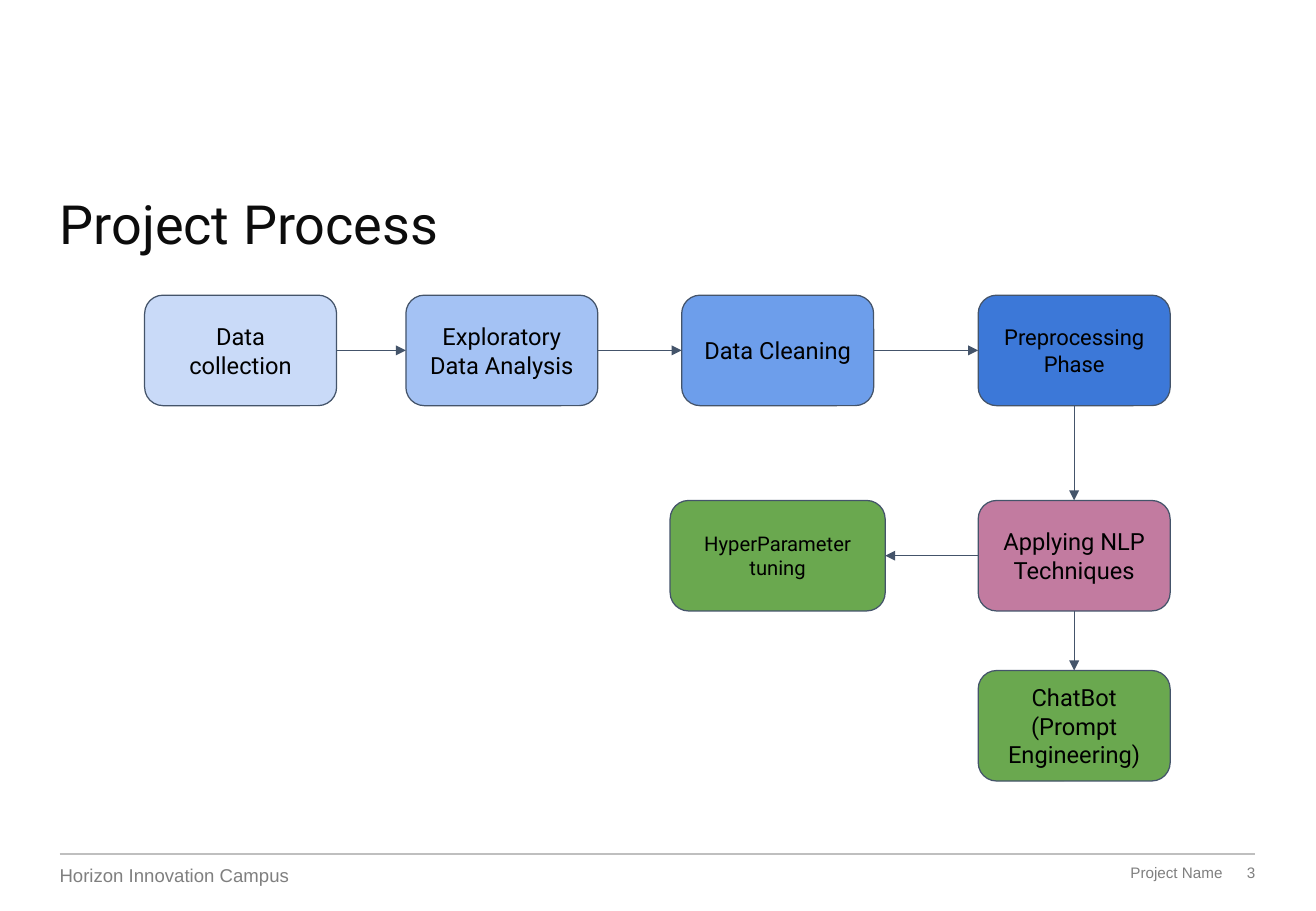
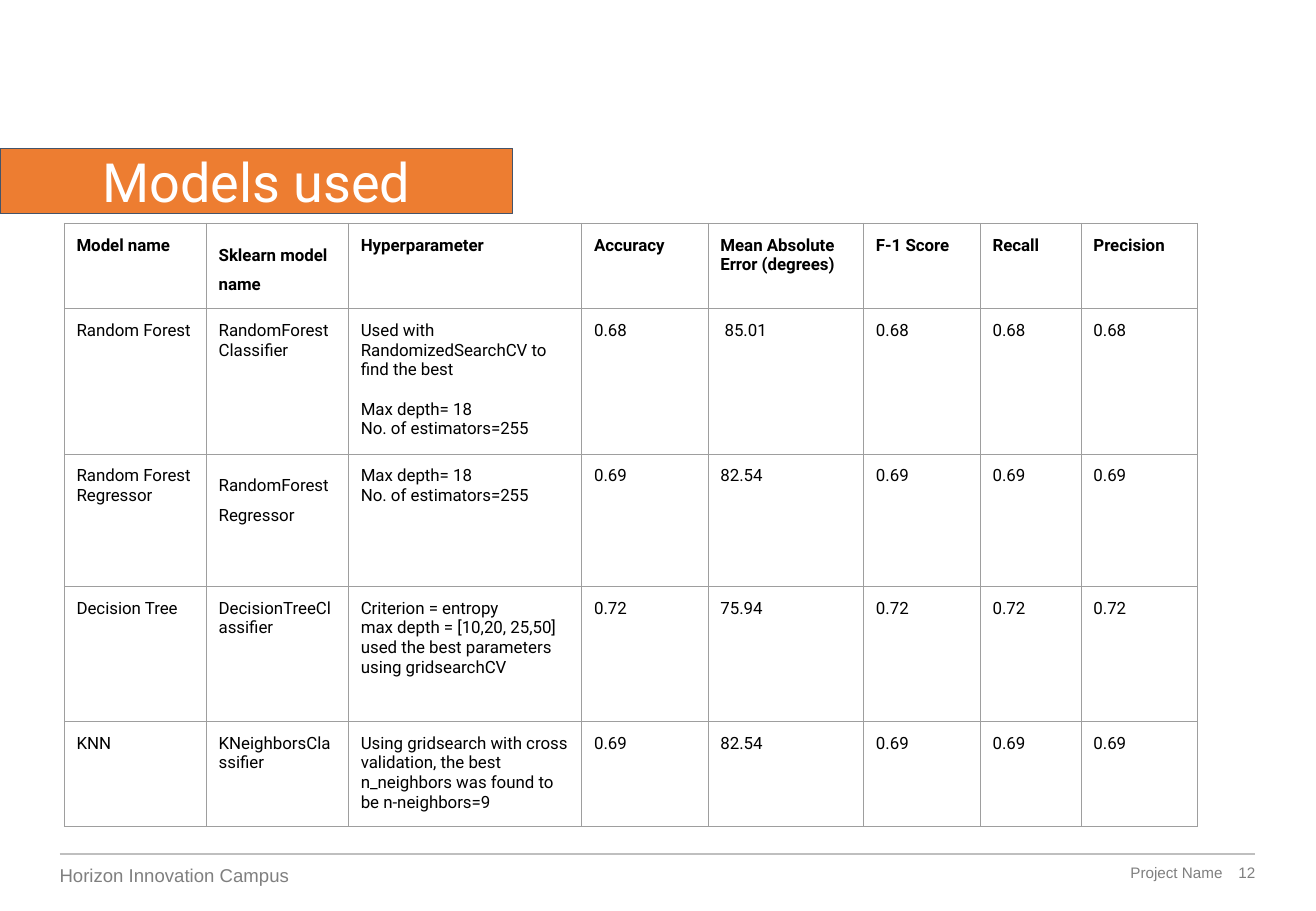
"""Builds two project slides: a process flowchart and a table of model results."""
from lxml import etree
from pptx import Presentation
from pptx.dml.color import RGBColor
from pptx.enum.shapes import MSO_CONNECTOR, MSO_SHAPE
from pptx.enum.text import MSO_ANCHOR, PP_ALIGN
from pptx.oxml.ns import qn
from pptx.util import Inches, Pt

LEFT, CENTER, RIGHT = PP_ALIGN.LEFT, PP_ALIGN.CENTER, PP_ALIGN.RIGHT
TOP, MIDDLE = MSO_ANCHOR.TOP, MSO_ANCHOR.MIDDLE
ROUND, RECT = MSO_SHAPE.ROUNDED_RECTANGLE, MSO_SHAPE.RECTANGLE
STRAIGHT = MSO_CONNECTOR.STRAIGHT
SITE_TOP, SITE_LEFT, SITE_BOTTOM, SITE_RIGHT = range(4)

BLACK = RGBColor(0x00, 0x00, 0x00)
WHITE = RGBColor(0xFF, 0xFF, 0xFF)
TITLE_INK = RGBColor(0x0C, 0x0C, 0x0C)
FOOTER_INK = RGBColor(0x7F, 0x7F, 0x7F)
FOOTER_RULE = RGBColor(0xBF, 0xBF, 0xBF)
SLATE = RGBColor(0x44, 0x54, 0x6A)
ORANGE = RGBColor(0xED, 0x7D, 0x31)
PINK = RGBColor(0xC2, 0x7B, 0xA0)
GREEN = RGBColor(0x6A, 0xA8, 0x4F)
BLUES = [RGBColor(0xC9, 0xDA, 0xF8), RGBColor(0xA4, 0xC2, 0xF4),
         RGBColor(0x6D, 0x9E, 0xEB), RGBColor(0x3C, 0x78, 0xD8)]
GRID_HEX = "9E9E9E"

HEAD_FONT, FOOTER_FONT = "Roboto", "Arial"
SLIDE_W, SLIDE_H = 10.83, 7.5
MARGIN, FOOTER_RIGHT = 0.49, 10.33
FOOTER_Y, FOOTER_TEXT_Y = 7.03, 7.11
FOOTER_NAME, FOOTER_PROJECT = "Horizon Innovation Campus", "Project Name"

COLS = [1.19, 3.34, 5.61, 8.05]
ROWS = [2.43, 4.12, 5.52]
STEP_W, STEP_H, TUNING_W = 1.58, 0.91, 1.77
TUNING_X = COLS[2] + (STEP_W - TUNING_W) / 2

STEPS = {
    "collect": (COLS[0], ROWS[0], STEP_W, BLUES[0], 14, ["Data collection"]),
    "explore": (COLS[1], ROWS[0], STEP_W, BLUES[1], 14, ["Exploratory Data Analysis"]),
    "clean": (COLS[2], ROWS[0], STEP_W, BLUES[2], 14, ["Data Cleaning"]),
    "prepare": (COLS[3], ROWS[0], STEP_W, BLUES[3], 13, ["Preprocessing", "Phase"]),
    "nlp": (COLS[3], ROWS[1], STEP_W, PINK, 14, ["Applying NLP Techniques"]),
    "tuning": (TUNING_X, ROWS[1], TUNING_W, GREEN, 12, ["HyperParameter tuning"]),
    "prompt": (COLS[3], ROWS[2], STEP_W, GREEN, 14, ["ChatBot", "(Prompt Engineering)"]),
}
ARROWS = [
    ("collect", SITE_RIGHT, "explore", SITE_LEFT),
    ("explore", SITE_RIGHT, "clean", SITE_LEFT),
    ("clean", SITE_RIGHT, "prepare", SITE_LEFT),
    ("prepare", SITE_BOTTOM, "nlp", SITE_TOP),
    ("nlp", SITE_LEFT, "tuning", SITE_RIGHT),
    ("nlp", SITE_BOTTOM, "prompt", SITE_TOP),
]

FOREST = ["Max depth= 18", "No. of estimators=255"]
MODELS = [
    ["Model name", "Sklearn model name", "Hyperparameter", "Accuracy",
     "Mean Absolute Error (degrees)", "F-1 Score", "Recall", "Precision"],
    ["Random Forest", "RandomForestClassifier",
     ["Used with RandomizedSearchCV to find the best"] + FOREST,
     "0.68", " 85.01", "0.68", "0.68", "0.68"],
    ["Random Forest Regressor", "RandomForestRegressor", FOREST,
     "0.69", "82.54", "0.69", "0.69", "0.69"],
    ["Decision Tree", "DecisionTreeClassifier",
     ["Criterion = entropy", "max depth = [10,20, 25,50]",
      "used the best parameters using gridsearchCV"],
     "0.72", "75.94", "0.72", "0.72", "0.72"],
    ["KNN", "KNeighborsClassifier",
     "Using gridsearch with cross validation, the best n_neighbors "
     "was found to be n-neighbors=9",
     "0.69", "82.54", "0.69", "0.69", "0.69"],
]
COL_WIDTHS = [1.17, 1.17, 1.92, 1.04, 1.28, 0.96, 0.83, 0.96]
ROW_HEIGHTS = [0.69, 1.17, 1.09, 1.11, 0.84]
OPEN_SPACED = {(0, 1), (2, 1)}
FOREST_SEARCH = (1, 2)


def box(*lengths):
    return [Inches(v) for v in lengths]


def write(tf, lines, size, color, align=LEFT, font=HEAD_FONT, bold=False):
    for i, line in enumerate(lines):
        p = tf.paragraphs[0] if i == 0 else tf.add_paragraph()
        p.alignment = align
        r = p.add_run()
        r.text = line
        r.font.name, r.font.size, r.font.bold = font, Pt(size), bold
        r.font.color.rgb = color


def set_frame(tf, anchor, dx=0, dy=0):
    tf.word_wrap = True
    tf.vertical_anchor = anchor
    tf.margin_left = tf.margin_right = Inches(dx)
    tf.margin_top = tf.margin_bottom = Inches(dy)


def add_text(s, at, text, size, color, align=LEFT, anchor=TOP, font=HEAD_FONT):
    tf = s.shapes.add_textbox(*box(*at)).text_frame
    set_frame(tf, anchor)
    write(tf, [text], size, color, align, font)


def add_block(s, kind, at, fill):
    sp = s.shapes.add_shape(kind, *box(*at))
    sp.shadow.inherit = False
    sp.fill.solid()
    sp.fill.fore_color.rgb = fill
    sp.line.color.rgb = SLATE
    sp.line.width = Pt(0.75)
    return sp


def add_line(s, ends, color):
    line = s.shapes.add_connector(STRAIGHT, *box(*ends))
    line.line.color.rgb = color
    line.line.width = Pt(0.75)
    etree.SubElement(line._element.spPr, qn("a:effectLst"))
    return line


def add_arrow(s, start, start_site, end, end_site):
    arrow = add_line(s, (0, 0, 0, 0), SLATE)
    arrow.begin_connect(start, start_site)
    arrow.end_connect(end, end_site)
    etree.SubElement(arrow.line._get_or_add_ln(), qn("a:tailEnd"), type="triangle")


def add_slide(prs, number):
    s = prs.slides.add_slide(prs.slide_layouts[6])
    add_line(s, (MARGIN, FOOTER_Y, FOOTER_RIGHT, FOOTER_Y), FOOTER_RULE)
    add_text(s, (MARGIN, FOOTER_TEXT_Y, 3.16, 0.19), FOOTER_NAME, 11, FOOTER_INK,
             font=FOOTER_FONT)
    for x, w, text in [(7.49, 2.57, FOOTER_PROJECT), (9.66, 0.67, str(number))]:
        add_text(s, (x, FOOTER_TEXT_Y, w, 0.15), text, 9, FOOTER_INK, RIGHT, MIDDLE,
                 FOOTER_FONT)
    return s


def style_cell(cell):
    set_frame(cell, TOP, 0.1, 0.1)
    tc_pr = cell._tc.get_or_add_tcPr()
    for side in ("a:lnL", "a:lnR", "a:lnT", "a:lnB"):
        ln = etree.SubElement(tc_pr, qn(side), w=str(Pt(0.75)))
        fill = etree.SubElement(ln, qn("a:solidFill"))
        etree.SubElement(fill, qn("a:srgbClr"), val=GRID_HEX)
    cell.fill.background()


def build_process(prs):
    s = add_slide(prs, 3)
    add_text(s, (MARGIN, 1.57, 9.34, 0.54), "Project Process", 32, TITLE_INK)
    steps = {}
    for name, (x, y, w, fill, size, lines) in STEPS.items():
        sp = add_block(s, ROUND, (x, y, w, STEP_H), fill)
        set_frame(sp.text_frame, MIDDLE, 0.13, 0.03)
        write(sp.text_frame, lines, size, BLACK, CENTER)
        steps[name] = sp
    for start, start_site, end, end_site in ARROWS:
        add_arrow(s, steps[start], start_site, steps[end], end_site)


def build_models(prs):
    s = add_slide(prs, 12)
    band = add_block(s, RECT, (0, 1.22, 4.22, 0.54), ORANGE)
    set_frame(band.text_frame, MIDDLE)
    write(band.text_frame, ["Models used"], 32, WHITE, CENTER)

    table = s.shapes.add_table(
        len(MODELS), len(COL_WIDTHS),
        *box(0.53, 1.84, sum(COL_WIDTHS), sum(ROW_HEIGHTS))).table
    table.first_row = table.horz_banding = False
    for col, w in zip(table.columns, COL_WIDTHS):
        col.width = Inches(w)
    for i, (row, h) in enumerate(zip(MODELS, ROW_HEIGHTS)):
        table.rows[i].height = Inches(h)
        for j, value in enumerate(row):
            cell = table.cell(i, j)
            style_cell(cell)
            lines = value if isinstance(value, list) else [value]
            write(cell.text_frame, lines, 10, BLACK, bold=i == 0)
            if (i, j) in OPEN_SPACED:
                cell.text_frame.paragraphs[0].line_spacing = 1.5
    table.cell(*FOREST_SEARCH).text_frame.paragraphs[1].space_before = Pt(11.7)


def main():
    prs = Presentation()
    prs.slide_width, prs.slide_height = box(SLIDE_W, SLIDE_H)
    build_process(prs)
    build_models(prs)
    prs.save("out.pptx")


if __name__ == "__main__":
    main()
